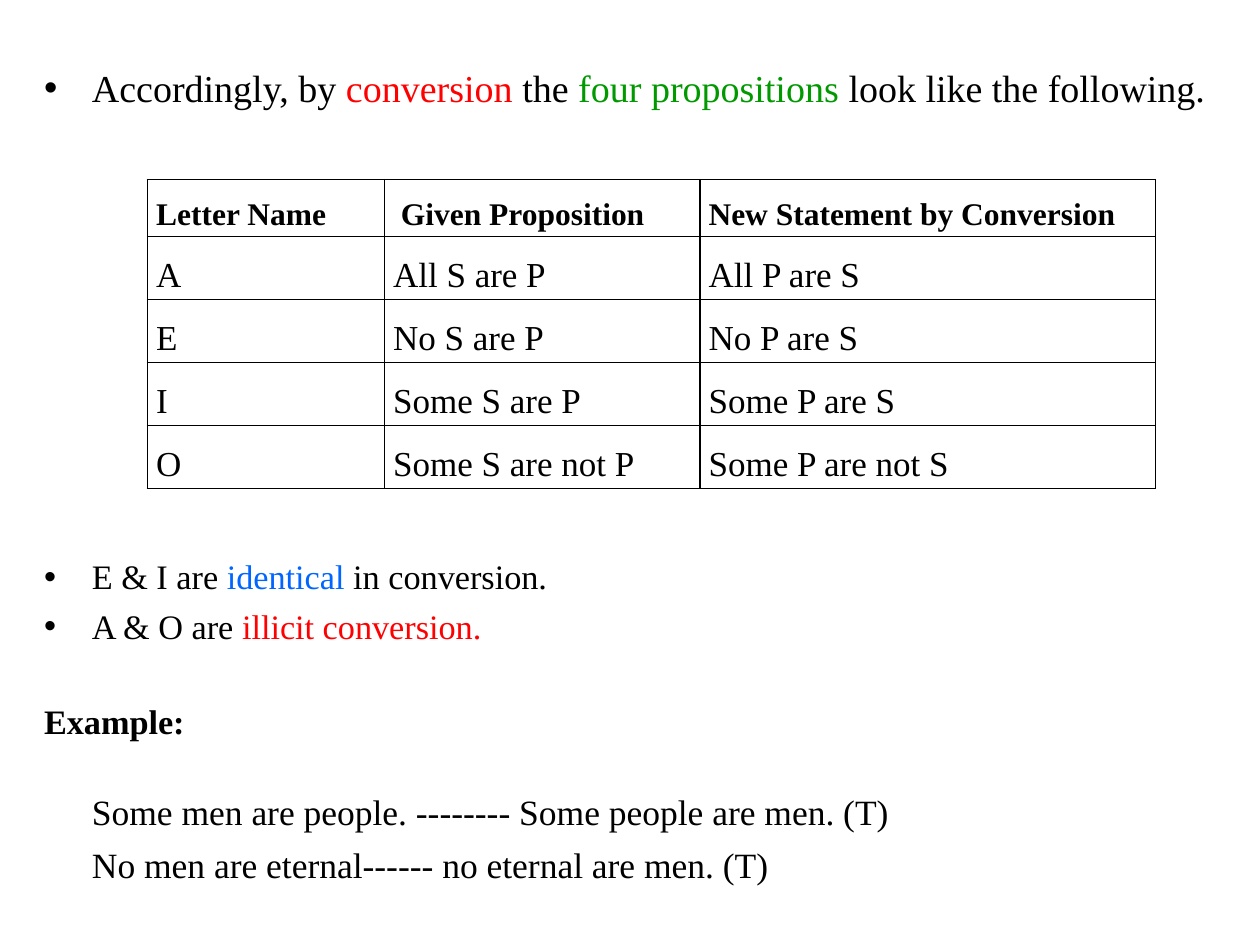
from dataclasses import dataclass

from lxml.etree import SubElement
from pptx import Presentation
from pptx.dml.color import RGBColor
from pptx.enum.text import PP_ALIGN
from pptx.oxml.ns import qn
from pptx.util import Emu, Inches, Pt


@dataclass(frozen=True)
class Theme:
    font: str = "Times New Roman"
    ink: str = "000000"
    red: str = "FF0000"
    green: str = "009900"
    blue: str = "0066FF"
    lead: float = 21.7
    note: float = 19.6
    example: float = 20.3
    header: float = 18
    cell: float = 20
    indent: float = 0.38
    border: float = 1


T = Theme()
W, H = Inches(10), Inches(7.5)


def share(x, y, w, h):
    return Emu(int(W * x)), Emu(int(H * y)), Emu(int(W * w)), Emu(int(H * h))


def add_runs(p, runs, size, bold=False):
    for text, color in runs:
        r = p.add_run()
        r.text = text
        r.font.name = T.font
        r.font.size = Pt(size)
        r.font.bold = bold
        r.font.color.rgb = RGBColor.from_string(color)


def add_frame(s, box):
    tf = s.shapes.add_textbox(*box).text_frame
    tf.word_wrap = True
    tf.margin_left = tf.margin_right = tf.margin_top = tf.margin_bottom = 0
    return tf


def set_indent(p, bullet):
    pPr = p._p.get_or_add_pPr()
    pPr.set("marL", str(Inches(T.indent)))
    pPr.set("indent", str(-Inches(T.indent) if bullet else 0))
    if bullet:
        SubElement(pPr, qn("a:buFont"), typeface="Arial")
        SubElement(pPr, qn("a:buChar"), char="•")


def add_bullets(s, box, items, size):
    tf = add_frame(s, box)
    for i, runs in enumerate(items):
        p = tf.add_paragraph() if i else tf.paragraphs[0]
        if i:
            p.space_before = Pt(4.9)
        set_indent(p, True)
        add_runs(p, runs, size)


def add_example(s, box, title, lines):
    tf = add_frame(s, box)
    add_runs(tf.paragraphs[0], [(title, T.ink)], T.note, True)
    for i, line in enumerate(lines):
        p = tf.add_paragraph()
        p.space_before = Pt(5.8 if i else 28)
        set_indent(p, False)
        add_runs(p, [(line, T.ink)], T.example)


def style_cell(cell):
    cell.margin_left = cell.margin_right = Inches(0.07)
    cell.margin_top = cell.margin_bottom = 0
    tcPr = cell._tc.get_or_add_tcPr()
    for side in ("lnL", "lnR", "lnT", "lnB"):
        ln = SubElement(tcPr, qn(f"a:{side}"), w=str(Pt(T.border)))
        fill = SubElement(ln, qn("a:solidFill"))
        SubElement(fill, qn("a:srgbClr"), val=T.ink)
    cell.fill.background()


def add_proposition_table(s, box, rows, col_shares):
    table = s.shapes.add_table(len(rows), len(col_shares), *box).table
    table.horz_banding = False
    for col, part in zip(table.columns, col_shares):
        col.width = Emu(int(box[2] * part))
    for i, row in enumerate(rows):
        table.rows[i].height = Emu(box[3] // len(rows))
        for j, text in enumerate(row):
            cell = table.cell(i, j)
            style_cell(cell)
            p = cell.text_frame.paragraphs[0]
            p.alignment = PP_ALIGN.JUSTIFY
            p.line_spacing = 1.5
            add_runs(p, [(text, T.ink)], T.cell if i else T.header, i == 0)


def main():
    prs = Presentation()
    prs.slide_width, prs.slide_height = W, H
    s = prs.slides.add_slide(prs.slide_layouts[6])
    add_bullets(s, share(0.035, 0.068, 0.94, 0.05), [[
        ("Accordingly, by", T.ink), (" conversion ", T.red), ("the ", T.ink),
        ("four propositions ", T.green), ("look like the following.", T.ink),
    ]], T.lead)
    add_proposition_table(s, share(0.117, 0.19, 0.8, 0.273), [
        ("Letter Name", " Given Proposition", "New Statement by Conversion"),
        ("A", "All S are P", "All P are S"),
        ("E", "No S are P", "No P are S"),
        ("I", "Some S are P", "Some P are S"),
        ("O", "Some S are not P", "Some P are not S"),
    ], (0.235, 0.313, 0.452))
    add_bullets(s, share(0.035, 0.588, 0.94, 0.1), [
        [("E & I are ", T.ink), ("identical ", T.blue), ("in conversion.", T.ink)],
        [("A & O are ", T.ink), ("illicit conversion.", T.red)],
    ], T.note)
    add_example(s, share(0.035, 0.741, 0.94, 0.2), "Example:", [
        "Some men are people. -------- Some people are men. (T)",
        "No men are eternal------ no eternal are men. (T)",
    ])
    prs.save("out.pptx")


if __name__ == "__main__":
    main()
